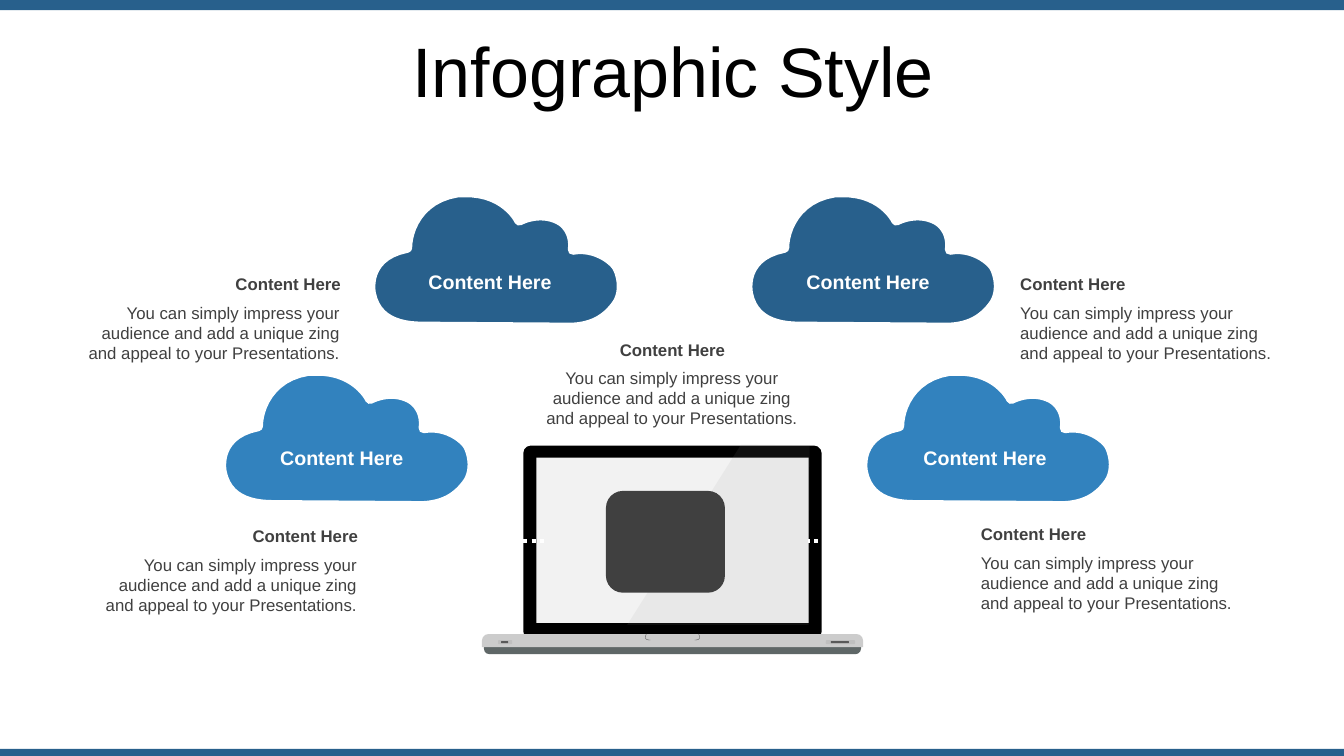
from dataclasses import dataclass
from lxml import etree
from pptx import Presentation
from pptx.dml.color import RGBColor
from pptx.enum.dml import MSO_LINE
from pptx.enum.shapes import MSO_CONNECTOR, MSO_SHAPE
from pptx.enum.text import MSO_ANCHOR, MSO_AUTO_SIZE, PP_ALIGN
from pptx.oxml.ns import qn
from pptx.util import Inches, Pt

RECT, ROUND, DOME = MSO_SHAPE.RECTANGLE, MSO_SHAPE.ROUNDED_RECTANGLE, MSO_SHAPE.ROUND_2_SAME_RECTANGLE
LEFT, MID, RIGHT = PP_ALIGN.LEFT, PP_ALIGN.CENTER, PP_ALIGN.RIGHT
CENTER, TOP = MSO_ANCHOR.MIDDLE, MSO_ANCHOR.TOP
ELBOW, DOTS = MSO_CONNECTOR.ELBOW, MSO_LINE.ROUND_DOT
NO_FIT = MSO_AUTO_SIZE.NONE


@dataclass(frozen=True)
class Theme:
    font: str = "Arial"
    navy: str = "28608C"
    blue: str = "3282BE"
    ink: str = "404040"
    white: str = "FFFFFF"
    black: str = "000000"
    title: int = 50
    label: int = 14
    body: int = 12


@dataclass(frozen=True)
class Part:
    kind: int
    left: float
    top: float
    width: float
    height: float
    fill: str
    bends: tuple = ()


@dataclass(frozen=True)
class Cloud:
    left: float
    top: float
    fill: str
    text_x: float
    text_y: float


@dataclass(frozen=True)
class Note:
    left: float
    top: float
    align: int


T = Theme()
HEAD = "Content Here"
COPY = "You can simply impress your audience and add a unique zing and appeal to your Presentations."

# Each step is an end point, or two control points and an end point
PUFFS = [
    (.93, 0), (1.25, -.01, 1.42, .18, 1.47, .28), (1.57, .23, 1.72, .2, 1.86, .27),
    (1.96, .32, 2.02, .44, 2, .57), (2.22, .53, 2.4, .67, 2.44, .74),
    (2.49, .83, 2.52, 1.01, 2.42, 1.13), (2.32, 1.26, 2.19, 1.33, 2, 1.34),
    (.51, 1.33), (.27, 1.33, .05, 1.26, 0, 1), (-.02, .88, 0, .62, .36, .55),
    (.36, .38, .47, .06, .86, 0), (.88, 0, .91, 0, .93, 0),
]
GLARE = [(7.35, 4.41), (8.03, 4.42), (8.02, 6.2), (6.22, 6.2)]
NOTCH = [
    [(6.41, 6.29), (6.39, 6.34, 6.41, 6.35, 6.45, 6.35)],
    [(6.93, 6.29), (6.95, 6.34, 6.93, 6.35, 6.89, 6.35)],
]
BARS = [Part(RECT, 0, 0, 13.33, .1, T.navy), Part(RECT, 0, 7.43, 13.33, .07, T.navy)]
LAPTOP = [
    Part(DOME, 4.8, 6.38, 3.74, .11, "5F6767", (0, .5)),
    Part(ROUND, 5.19, 4.42, 2.96, 1.92, T.black, (.04,)),
    Part(RECT, 5.32, 4.54, 2.7, 1.64, "F2F2F2"),
    Part(DOME, 4.78, 6.29, 3.78, .13, "CCCCCC", (.5, 0)),
    Part(ROUND, 4.94, 6.35, .14, .04, "BFBFBF", (.28,)),
    Part(ROUND, 4.97, 6.36, .07, .02, "595959", (.28,)),
    Part(ROUND, 8.19, 6.35, .29, .04, "BFBFBF", (.28,)),
    Part(ROUND, 8.24, 6.36, .18, .02, "595959", (.28,)),
]
EMBLEM = Part(ROUND, 6.01, 4.87, 1.18, 1.01, T.ink)
LINKS = [(3.6, 4.79, 5.4, 5.37), (9.66, 5.08, 8.01, 5.37)]
CLOUDS = [
    Cloud(2.2, 3.68, T.blue, 2.68, 4.37), Cloud(3.68, 1.91, T.navy, 4.15, 2.62),
    Cloud(7.42, 1.91, T.navy, 7.9, 2.62), Cloud(8.56, 3.68, T.blue, 9.06, 4.37),
]
NOTES = [
    Note(5.28, 3.32, MID), Note(9.63, 5.15, LEFT), Note(10.02, 2.67, LEFT),
    Note(.7, 2.67, RIGHT), Note(.87, 5.17, RIGHT),
]


def color(code: str) -> RGBColor:
    return RGBColor.from_string(code)


def paint(shape, fill: str | None, line: str | None = None, width: float = 0) -> None:
    shape.shadow.inherit = False
    if fill:
        shape.fill.solid()
        shape.fill.fore_color.rgb = color(fill)
    else:
        shape.fill.background()
    if line:
        shape.line.color.rgb = color(line)
        shape.line.width = Pt(width)
    else:
        shape.line.fill.background()


def add_part(shapes, part: Part) -> None:
    shape = shapes.add_shape(part.kind, Inches(part.left), Inches(part.top),
                             Inches(part.width), Inches(part.height))
    for i, bend in enumerate(part.bends):
        shape.adjustments[i] = bend
    paint(shape, part.fill)


def trace(steps: list, left: float, top: float) -> list:
    """Turn lines and cubic curves into points on the slide."""
    spots = [steps[0]]
    for step in steps[1:]:
        if len(step) == 2:
            spots.append(step)
            continue
        x0, y0 = spots[-1]
        x1, y1, x2, y2, x3, y3 = step
        for i in range(1, 13):
            t = i / 12
            a, b, c, d = (1 - t) ** 3, 3 * t * (1 - t) ** 2, 3 * t * t * (1 - t), t ** 3
            spots.append((a * x0 + b * x1 + c * x2 + d * x3, a * y0 + b * y1 + c * y2 + d * y3))
    return [(Inches(left + x), Inches(top + y)) for x, y in spots]


def add_form(shapes, steps: list, left: float = 0, top: float = 0, close: bool = True):
    spots = trace(steps, left, top)
    form = shapes.build_freeform(*spots[0])
    form.add_line_segments(spots[1:], close=close)
    return form.convert_to_shape()


def add_link(shapes, ends: tuple) -> None:
    link = shapes.add_connector(ELBOW, *(Inches(end) for end in ends))
    link.line.color.rgb = color(T.white)
    link.line.width = Pt(3)
    link.line.dash_style = DOTS
    props = link._element.spPr
    etree.SubElement(props, qn("a:effectLst"))
    guide = etree.SubElement(props.find(qn("a:prstGeom")).find(qn("a:avLst")), qn("a:gd"))
    guide.set("name", "adj1")
    guide.set("fmla", "val 0")


def write(frame, text: str, size: int, ink: str, align: int, anchor: int, bold: bool = False):
    frame.word_wrap = True
    frame.auto_size = NO_FIT
    frame.vertical_anchor = anchor
    para = frame.paragraphs[0]
    para.text, para.alignment = text, align
    font = para.font
    font.name, font.size, font.bold = T.font, Pt(size), bold
    font.color.rgb = color(ink)
    return para


def add_box(shapes, left: float, top: float, width: float, height: float, *style) -> None:
    box = shapes.add_textbox(Inches(left), Inches(top), Inches(width), Inches(height))
    write(box.text_frame, *style)


def main() -> None:
    deck = Presentation()
    deck.slide_width, deck.slide_height = Inches(13.33), Inches(7.5)
    slide = deck.slides.add_slide(deck.slide_layouts[5])
    shapes = slide.shapes

    # Title and edge bars
    title = shapes.title
    title.left, title.top, title.width, title.height = map(Inches, (.35, .37, 12.66, .79))
    write(title.text_frame, "Infographic Style", T.title, T.black, MID, CENTER).line_spacing = .8
    # Laptop
    for part in BARS + LAPTOP:
        add_part(shapes, part)
    for side in NOTCH:
        paint(add_form(shapes, side, close=False), None, "4D4D4D", .25)
    glare = add_form(shapes, GLARE)
    paint(glare, "999999")
    tint = glare._element.spPr.find(qn("a:solidFill"))[0]
    etree.SubElement(tint, qn("a:alpha")).set("val", "10000")

    # Links, clouds and screen emblem
    for ends in LINKS:
        add_link(shapes, ends)
    for cloud in CLOUDS:
        paint(add_form(shapes, PUFFS, cloud.left, cloud.top), cloud.fill, T.white, 7)
    add_part(shapes, EMBLEM)

    # Labels and notes
    for cloud in CLOUDS:
        add_box(shapes, cloud.text_x, cloud.text_y, 1.51, .34,
                HEAD, T.label, T.white, LEFT, CENTER, True)
    for note in NOTES:
        add_box(shapes, note.left, note.top, 2.78, .3, HEAD, T.body, T.ink, note.align, CENTER, True)
        add_box(shapes, note.left, note.top + .28, 2.77, .71, COPY, T.body, T.ink, note.align, TOP)

    deck.save("out.pptx")


if __name__ == "__main__":
    main()
